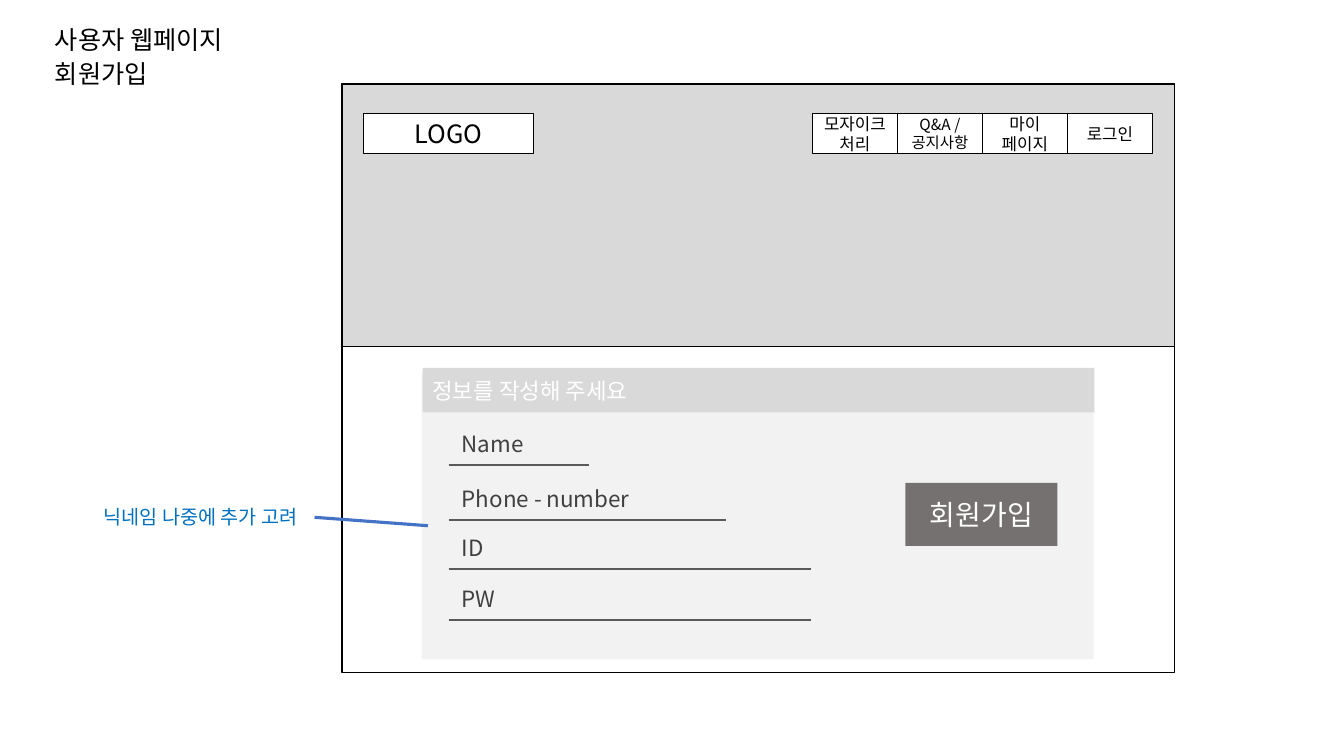
from dataclasses import dataclass

from pptx import Presentation
from pptx.dml.color import RGBColor
from pptx.enum.shapes import MSO_CONNECTOR, MSO_SHAPE
from pptx.enum.text import MSO_ANCHOR, MSO_AUTO_SIZE, PP_ALIGN
from pptx.oxml.ns import qn
from pptx.util import Inches, Pt

RECT, STRAIGHT = MSO_SHAPE.RECTANGLE, MSO_CONNECTOR.STRAIGHT
LEFT, CENTER = PP_ALIGN.LEFT, PP_ALIGN.CENTER
MIDDLE, GROW = MSO_ANCHOR.MIDDLE, MSO_AUTO_SIZE.SHAPE_TO_FIT_TEXT
COLS = 160  # square grid cells across the slide


@dataclass(frozen=True)
class Theme:
    """Font, colours, type sizes and line widths of the wireframe."""
    font: str = "Noto Sans CJK KR"
    ink: str = "000000"
    paper: str = "FFFFFF"
    band: str = "D9D9D9"
    panel: str = "F2F2F2"
    button: str = "767171"
    label: str = "404040"
    rule: str = "595959"
    note: str = "0070C0"
    pointer: str = "4472C4"
    title_pt: int = 18
    button_pt: int = 20
    body_pt: int = 16
    note_pt: int = 14
    nav_pt: int = 12
    small_pt: int = 11
    border_w: float = 1
    rule_w: float = 1.5
    pointer_w: float = 2.25


T = Theme()
prs = Presentation()
prs.slide_width, prs.slide_height = Inches(13.33), Inches(7.5)
CELL = prs.slide_width / COLS


def grid(*cells):
    """Convert grid cells to slide lengths."""
    return [round(c * CELL) for c in cells]


def write(tf, text, size, color, align):
    """Fill a text frame, one paragraph per line of text."""
    tf.word_wrap = True
    for i, line in enumerate(text.split("\n")):
        p = tf.paragraphs[0] if i == 0 else tf.add_paragraph()
        p.text, p.alignment = line, align
        p.font.size, p.font.name = Pt(size), T.font
        p.font.color.rgb = RGBColor.from_string(color)
        props = p._p.pPr.find(qn("a:defRPr"))
        ea = props.makeelement(qn("a:ea"), {"typeface": T.font})
        props.find(qn("a:latin")).addnext(ea)


def add_box(slide, box, fill=None, border=False, text="", size=T.body_pt,
            color=T.ink, align=CENTER):
    """Draw a rectangle with optional fill, border and text."""
    sp = slide.shapes.add_shape(RECT, *grid(*box))
    sp.shadow.inherit = False
    if fill:
        sp.fill.solid()
        sp.fill.fore_color.rgb = RGBColor.from_string(fill)
    else:
        sp.fill.background()
    if border:
        sp.line.color.rgb = RGBColor.from_string(T.ink)
        sp.line.width = Pt(T.border_w)
    else:
        sp.line.fill.background()
    if text:
        sp.text_frame.vertical_anchor = MIDDLE
        write(sp.text_frame, text, size, color, align)


def add_text(slide, box, text, size, color, align=LEFT):
    """Place a text box that grows with its text."""
    tf = slide.shapes.add_textbox(*grid(*box)).text_frame
    write(tf, text, size, color, align)
    tf.auto_size = GROW


def add_line(slide, ends, color, width):
    """Draw a straight line between two grid points."""
    cx = slide.shapes.add_connector(STRAIGHT, *grid(*ends))
    cx.line.color.rgb = RGBColor.from_string(color)
    cx.line.width = Pt(width)
    props = cx._element.spPr
    props.append(props.makeelement(qn("a:effectLst"), {}))


def draw_titles(slide, box):
    """Stack the page titles in equal rows."""
    x, y, w, h = box
    titles = ("사용자 웹페이지", "회원가입")
    row = h / len(titles)
    for i, title in enumerate(titles):
        add_text(slide, (x, y + i * row, w, row), title, T.title_pt, T.ink)


def draw_banner(slide, box):
    """Draw the page banner with its logo slot and menu."""
    x, y, w, h = box
    add_box(slide, box, T.band, border=True)
    margin, top, bar_h, menu_w = 2.6, 3.55, 4.7, 10.12
    add_box(slide, (x + margin, y + top, 20.2, bar_h), T.paper, True,
            "LOGO", T.title_pt)
    menu = (("모자이크 처리", T.nav_pt), ("Q&A /\n공지사항", T.small_pt),
            ("마이\n페이지", T.nav_pt), ("로그인", T.nav_pt))
    left = x + w - margin - len(menu) * menu_w
    for i, (item, size) in enumerate(menu):
        add_box(slide, (left + i * menu_w, y + top, menu_w, bar_h),
                T.paper, True, item, size)


def draw_form(slide, box):
    """Draw the sign-up form: heading, underlined fields and button."""
    x, y, w, h = box
    add_box(slide, (x, y + 0.6, w, h - 0.6), T.panel)
    add_box(slide, (x + 0.1, y, w, 5.3), T.band, False,
            "정보를 작성해 주세요", T.body_pt, T.paper, LEFT)
    fields = (("Name", 11.6, 16.7), ("Phone - number", 18.1, 33),
              ("ID", 23.95, 43.2), ("PW", 30, 43.2))
    left = x + 3.2
    for label, row, length in fields:
        base = y + row
        add_line(slide, (left, base, left + length, base), T.rule, T.rule_w)
        add_text(slide, (left + 0.4, base - 4.75, length, 4.4), label,
                 T.body_pt, T.label)
    add_box(slide, (x + 57.6, y + 13.7, 18.1, 7.5), T.button, False,
            "회원가입", T.button_pt, T.paper)


def draw_page(slide, box):
    """Draw the web page frame with its banner and form."""
    x, y, w, h = box
    draw_banner(slide, (x, y, w, 31.3))
    add_box(slide, box, border=True)
    draw_form(slide, (x + 9.5, y + 33.8, 80, 34.7))


def draw_note(slide, box):
    """Write the side note and point from it to the form."""
    x, y, w, h = box
    mid = y + h / 2
    add_line(slide, (x + w + 0.1, mid, x + w + 13.6, mid + 1), T.pointer,
             T.pointer_w)
    add_text(slide, box, "닉네임 나중에 추가 고려", T.note_pt, T.note, CENTER)


slide = prs.slides.add_slide(prs.slide_layouts[6])
draw_titles(slide, (5.35, 2.3, 24, 8))
draw_page(slide, (40.7, 10, 99.1, 70.1))
draw_note(slide, (10.45, 59.55, 26.9, 4.1))
prs.save("out.pptx")
